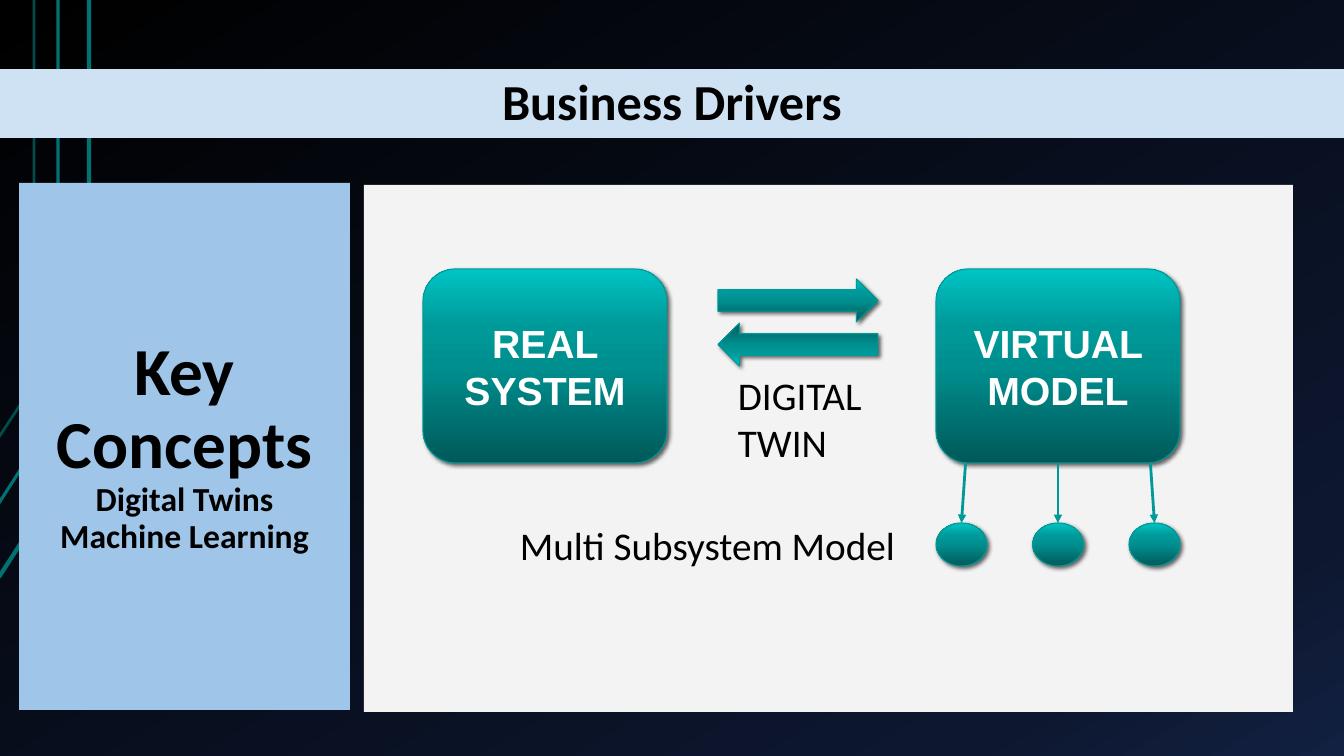
from lxml import etree
from pptx import Presentation
from pptx.dml.color import RGBColor
from pptx.enum.shapes import MSO_CONNECTOR, MSO_SHAPE
from pptx.enum.text import MSO_ANCHOR, PP_ALIGN
from pptx.oxml.ns import qn
from pptx.util import Pt

SLIDE_W, SLIDE_H = 1344, 756
EMU_PER_PX = 914400 / 100.8

RECT, ROUNDED = MSO_SHAPE.RECTANGLE, MSO_SHAPE.ROUNDED_RECTANGLE
ARROW, OVAL = MSO_SHAPE.RIGHT_ARROW, MSO_SHAPE.OVAL
STRAIGHT = MSO_CONNECTOR.STRAIGHT
LEFT, CENTER = PP_ALIGN.LEFT, PP_ALIGN.CENTER
TOP, MIDDLE, BOTTOM = MSO_ANCHOR.TOP, MSO_ANCHOR.MIDDLE, MSO_ANCHOR.BOTTOM

COLORS = {
    "text": "000000",
    "light_text": "FFFFFF",
    "title_band": "CFE2F3",
    "key_panel": "9FC5E8",
    "diagram_panel": "F3F3F3",
    "accent": "009999",
    "trace": "007272",
    "dim_trace": "004C4C",
    "shadow": "000000",
}
BACKDROP_STOPS = [(0, "000000"), (85, "0D172F"), (100, "122041")]
TEAL_STOPS = [(0, "005959"), (50, "008F8F"), (70, "009999"), (100, "00C3C3")]


def px(length):
    return round(length * EMU_PER_PX)


def rgb(name):
    return RGBColor.from_string(COLORS[name])


def set_gradient(fill, owner, stops, angle):
    """Fill with any number of stops; the angle runs counter-clockwise."""
    fill.gradient()
    fill.gradient_angle = angle
    stop_list = owner.find(".//" + qn("a:gsLst"))
    for old_stop in list(stop_list):
        stop_list.remove(old_stop)
    for percent, color in stops:
        stop = etree.SubElement(stop_list, qn("a:gs"), pos=str(percent * 1000))
        etree.SubElement(stop, qn("a:srgbClr"), val=color)


def add_shadow(shape):
    effects = shape.element.spPr.find(qn("a:effectLst"))
    shadow = etree.SubElement(effects, qn("a:outerShdw"), blurRad=str(Pt(3)),
                              dist=str(Pt(2)), dir="2700000", algn="bl", rotWithShape="0")
    color = etree.SubElement(shadow, qn("a:srgbClr"), val=COLORS["shadow"])
    etree.SubElement(color, qn("a:alpha"), val="60000")


def add_preset(slide, preset, box):
    shape = slide.shapes.add_shape(preset, *map(px, box))
    shape.shadow.inherit = False
    return shape


def add_panel(slide, box, color):
    panel = add_preset(slide, RECT, box)
    panel.fill.solid()
    panel.fill.fore_color.rgb = rgb(color)
    panel.line.fill.background()
    return panel


def add_teal(slide, preset, box):
    shape = add_preset(slide, preset, box)
    set_gradient(shape.fill, shape.element, TEAL_STOPS, 90)
    shape.line.color.rgb = rgb("accent")
    shape.line.width = Pt(0.75)
    add_shadow(shape)
    return shape


def write(shape, lines, anchor=MIDDLE, align=CENTER, font="Calibri", color="text",
          bold=True, spacing=None, inset=(10, 5)):
    """Fill a shape with (text, size) paragraphs."""
    frame = shape.text_frame
    frame.word_wrap = True
    frame.vertical_anchor = anchor
    frame.margin_left = frame.margin_right = px(inset[0])
    frame.margin_top = frame.margin_bottom = px(inset[1])
    for index, (text, size) in enumerate(lines):
        paragraph = frame.add_paragraph() if index else frame.paragraphs[0]
        paragraph.text = text
        paragraph.alignment = align
        paragraph.line_spacing = spacing
        paragraph.font.name = font
        paragraph.font.size = Pt(size)
        paragraph.font.bold = bold
        paragraph.font.color.rgb = rgb(color)


def add_caption(slide, box, *lines):
    caption = slide.shapes.add_textbox(*map(px, box))
    write(caption, [(line, 28) for line in lines], anchor=TOP, align=LEFT, bold=False)


def add_link(slide, start, end):
    link = slide.shapes.add_connector(STRAIGHT, *map(px, start + end))
    link.line.color.rgb = rgb("accent")
    link.line.width = Pt(2)
    etree.SubElement(link.line._get_or_add_ln(), qn("a:tailEnd"), type="triangle")
    etree.SubElement(link.element.spPr, qn("a:effectLst"))


def add_backdrop(slide):
    set_gradient(slide.background.fill, slide.element, BACKDROP_STOPS, 300)
    for x, bend_y, foot_y, color, width in [
        (89, 438, 577, "trace", 3),
        (58, 411, 503, "trace", 2.25),
        (34, 384, 437, "dim_trace", 2),
    ]:
        builder = slide.shapes.build_freeform(px(-1), px(foot_y))
        builder.add_line_segments([(px(x), px(bend_y)), (px(x), 0)], close=False)
        trace = builder.convert_to_shape()
        trace.shadow.inherit = False
        trace.fill.background()
        trace.line.color.rgb = rgb(color)
        trace.line.width = Pt(width)


def add_title_band(slide, box):
    write(add_panel(slide, box, "title_band"), [("Business Drivers", 36)],
          anchor=BOTTOM, spacing=0.9, inset=(13, 7))


def add_key_concepts(slide, box):
    write(add_panel(slide, box, "key_panel"),
          [("Key Concepts", 48), ("Digital Twins", 24), ("Machine Learning", 24)],
          spacing=0.9, inset=(13, 7))


def add_subsystems(slide, box):
    """Three ovals spread across the box width, linked from its top edge."""
    left, top, width, height = box
    oval_w, oval_h, count = 51, 43, 3
    step = (width - oval_w) / (count - 1)
    oval_top = top + height - oval_h
    for index in range(count):
        oval_left = left + index * step
        add_teal(slide, OVAL, (oval_left, oval_top, oval_w, oval_h))
        center = oval_left + oval_w / 2
        lean = 4 * (1 - index)
        add_link(slide, (center + lean, top), (center, oval_top))


def add_twin_diagram(slide, box):
    left, top, _, _ = box
    add_panel(slide, box, "diagram_panel")

    system_w, system_h = 244, 194
    system_top = top + 84
    real_left, virtual_left = left + 59, left + 572
    for system_left, label in [(real_left, "REAL SYSTEM"), (virtual_left, "VIRTUAL MODEL")]:
        system = add_teal(slide, ROUNDED, (system_left, system_top, system_w, system_h))
        write(system, [(label, 28)], font="Arial", color="light_text")

    for index in range(2):
        arrow = add_teal(slide, ARROW, (left + 354, top + 94 + 44 * index, 160, 43))
        arrow.rotation = 180 * index

    add_subsystems(slide, (virtual_left, system_top + system_h + 1, system_w, 102))
    add_caption(slide, (left + 146, top + 331, 400, 57), "Multi Subsystem Model")
    add_caption(slide, (left + 364, top + 181, system_w, 57), "DIGITAL", "TWIN")


def main():
    deck = Presentation()
    deck.slide_width, deck.slide_height = px(SLIDE_W), px(SLIDE_H)
    slide = deck.slides.add_slide(deck.slide_layouts[6])
    add_backdrop(slide)
    add_twin_diagram(slide, (364, 185, 929, 527))
    add_title_band(slide, (0, 69, SLIDE_W, 69))
    add_key_concepts(slide, (19, 183, 331, 527))
    deck.save("out.pptx")


if __name__ == "__main__":
    main()
